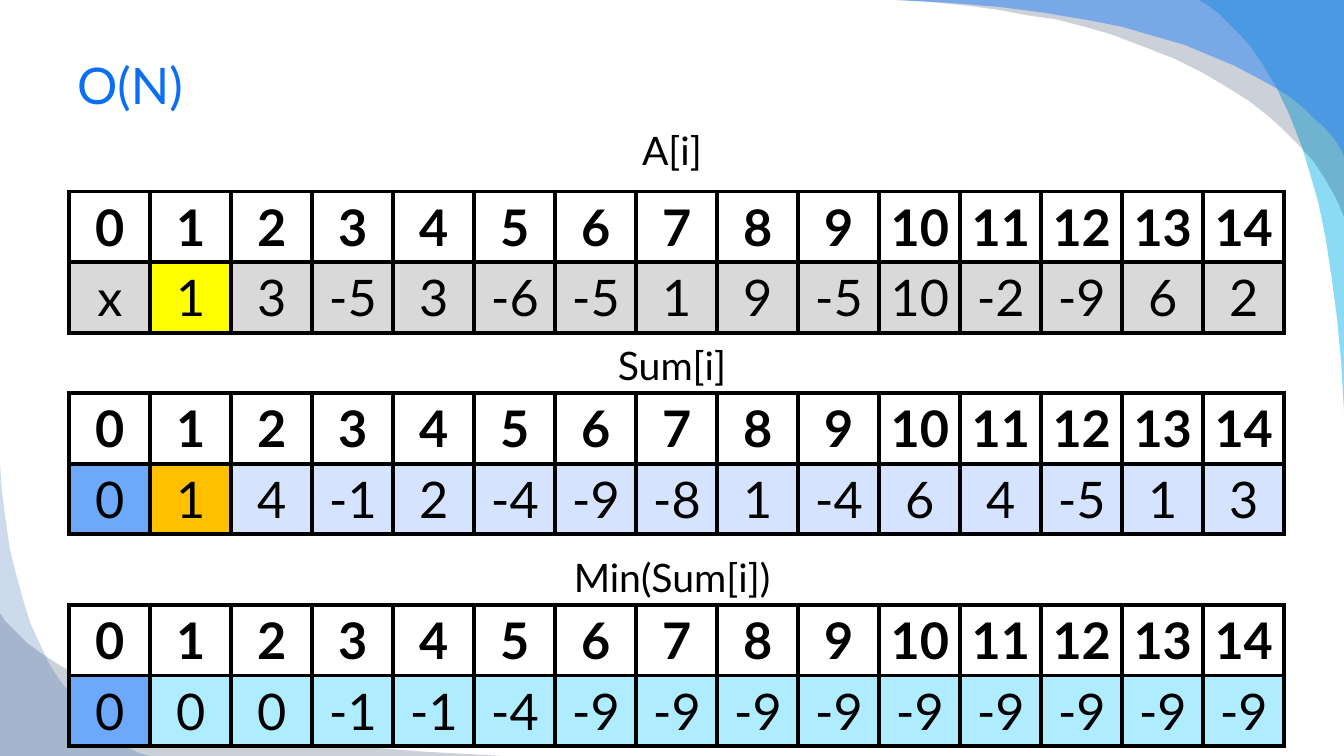
from dataclasses import dataclass
from itertools import accumulate

from lxml import etree
from pptx import Presentation
from pptx.dml.color import RGBColor
from pptx.enum.text import MSO_ANCHOR, PP_ALIGN
from pptx.oxml.ns import qn
from pptx.util import Pt

LEFT, CENTER = PP_ALIGN.LEFT, PP_ALIGN.CENTER
TOP, MIDDLE = MSO_ANCHOR.TOP, MSO_ANCHOR.MIDDLE


@dataclass(frozen=True)
class Theme:
    font: str = "Lato"
    title_size: float = 36
    label_size: float = 28
    cell_size: float = 36
    border: float = 3
    title: str = "0C6FF2"
    text: str = "000000"
    header: str = "FFFFFF"
    gray: str = "D9D9D9"
    yellow: str = "FFFF00"
    base: str = "6DA9F8"
    orange: str = "FFC000"
    pale_blue: str = "D6E3FE"
    pale_cyan: str = "AFECFF"
    wave_cyan: str = "00B1E9"
    wave_navy: str = "021741"
    wave_blue: str = "247FF4"
    wave_dark: str = "084AA1"


class SlideBuilder:
    def __init__(self, slide, theme):
        self.s = slide
        self.theme = theme

    def wave(self, curve, corner, color, opacity):
        fb = self.s.shapes.build_freeform(*curve[0], scale=Pt(1))
        fb.add_line_segments(curve[1:] + [corner], close=True)
        sp = fb.convert_to_shape()
        sp.shadow.inherit = False
        sp.line.fill.background()
        sp.fill.solid()
        sp.fill.fore_color.rgb = RGBColor.from_string(color)
        clr = sp.element.spPr.find(qn("a:solidFill")).find(qn("a:srgbClr"))
        etree.SubElement(clr, qn("a:alpha"), val=str(opacity * 1000))

    def run(self, p, text, size, color, bold=False):
        r = p.add_run()
        r.text = text
        r.font.name = self.theme.font
        r.font.size = Pt(size)
        r.font.bold = bold
        r.font.color.rgb = RGBColor.from_string(color)

    def text(self, text, box, size, color, align=CENTER, anchor=TOP):
        sp = self.s.shapes.add_textbox(*map(Pt, box))
        tf = sp.text_frame
        tf.word_wrap = True
        tf.vertical_anchor = anchor
        p = tf.paragraphs[0]
        p.alignment = align
        self.run(p, text, size, color)

    def cell(self, cell, text, fill, bold):
        t = self.theme
        tc_pr = cell._tc.get_or_add_tcPr()
        for side in ("lnL", "lnR", "lnT", "lnB"):
            ln = etree.SubElement(tc_pr, qn(f"a:{side}"), w=str(Pt(t.border)))
            line_fill = etree.SubElement(ln, qn("a:solidFill"))
            etree.SubElement(line_fill, qn("a:srgbClr"), val=t.text)
        cell.fill.solid()
        cell.fill.fore_color.rgb = RGBColor.from_string(fill)
        cell.vertical_anchor = MIDDLE
        p = cell.text_frame.paragraphs[0]
        p.alignment = CENTER
        self.run(p, text, t.cell_size, t.text, bold)

    def array(self, values, fills, left, top, col_width, row_height):
        n = len(values)
        frame = self.s.shapes.add_table(
            2, n, Pt(left), Pt(top), Pt(col_width * n), Pt(row_height * 2))
        table = frame.table
        for row in table.rows:
            row.height = Pt(row_height)
        for i, (value, fill) in enumerate(zip(values, fills)):
            table.columns[i].width = Pt(col_width)
            self.cell(table.cell(0, i), str(i), self.theme.header, True)
            self.cell(table.cell(1, i), str(value), fill, False)


RIGHT_CURVE = [
    (856, 0), (863, 4), (871, 10), (878, 17), (886, 25), (893, 33), (902, 46),
    (912, 63), (921, 82), (930, 105), (936, 125), (942, 146), (947, 171),
    (951, 197), (955, 227), (958, 259), (960, 294)]
TOP_OUTER_CURVE = [
    (640, 0), (660, 1), (690, 4), (713, 7), (734, 11), (755, 14), (774, 19),
    (792, 24), (816, 33), (839, 42), (859, 52), (876, 62), (892, 72),
    (906, 83), (917, 93), (927, 103), (938, 115), (946, 127), (954, 141),
    (960, 155)]
TOP_INNER_CURVE = [
    (640, 0), (678, 2), (714, 5), (745, 9), (775, 14), (801, 19), (825, 26),
    (846, 32), (865, 40), (882, 47), (897, 55), (910, 62), (921, 69),
    (930, 76), (938, 84), (946, 91), (953, 99), (958, 107), (960, 112)]
BOTTOM_CURVE = [
    (0, 438), (4, 444), (12, 452), (19, 459), (30, 467), (44, 476), (61, 485),
    (82, 495), (107, 503), (136, 512), (170, 520), (209, 527), (253, 533),
    (304, 537), (360, 540)]
LEFT_CURVE = [
    (0, 330), (1, 347), (4, 371), (7, 392), (12, 412), (17, 430), (22, 446),
    (29, 461), (35, 474), (42, 485), (50, 495), (57, 505), (64, 512),
    (73, 521), (81, 527), (91, 534), (100, 538), (107, 540)]


def main():
    prs = Presentation()
    prs.slide_width, prs.slide_height = Pt(960), Pt(540)
    theme = Theme()
    b = SlideBuilder(prs.slides.add_slide(prs.slide_layouts[6]), theme)

    top_right, bottom_left = (960, 0), (0, 540)
    b.wave(RIGHT_CURVE, top_right, theme.wave_cyan, 45)
    b.wave(TOP_OUTER_CURVE, top_right, theme.wave_navy, 20)
    b.wave(TOP_INNER_CURVE, top_right, theme.wave_blue, 49)
    b.wave(BOTTOM_CURVE, bottom_left, theme.wave_navy, 20)
    b.wave(LEFT_CURVE, bottom_left, theme.wave_dark, 20)

    b.text("O(N)", (48, 24, 864, 72.5), theme.title_size, theme.title, LEFT, MIDDLE)

    numbers = [1, 3, -5, 3, -6, -5, 1, 9, -5, 10, -2, -9, 6, 2]
    sums = list(accumulate(numbers, initial=0))
    minimums = list(accumulate(sums, min))
    rest = len(numbers) - 1
    arrays = [
        ("A[i]", 86.4, 136.8, ["x"] + numbers,
         [theme.gray, theme.yellow] + [theme.gray] * rest),
        ("Sum[i]", 240.5, 280.8, sums,
         [theme.base, theme.orange] + [theme.pale_blue] * rest),
        ("Min(Sum[i])", 391.7, 432, minimums,
         [theme.base] + [theme.pale_cyan] * (rest + 1)),
    ]
    for label, label_top, table_top, values, fills in arrays:
        b.text(label, (48, label_top, 864, 40), theme.label_size, theme.text)
        b.array(values, fills, 49.5, table_top, 57.87, 50.4)

    prs.save("out.pptx")


if __name__ == "__main__":
    main()
